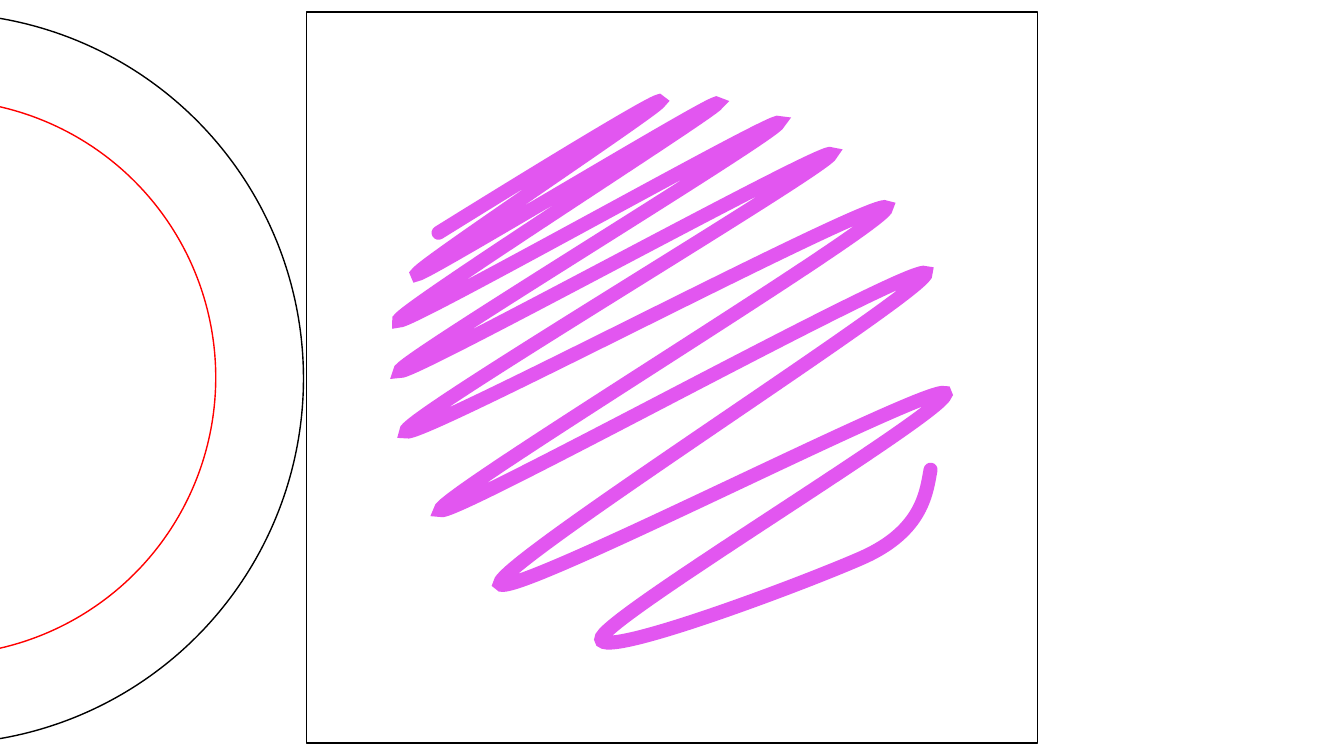
"""Draw a purple scribble in a framed square beside two concentric circles."""
from lxml.etree import SubElement
from pptx import Presentation
from pptx.dml.color import RGBColor
from pptx.enum.shapes import MSO_SHAPE as SHAPE
from pptx.oxml.ns import qn
from pptx.util import Pt

PX = 9144
BLACK = RGBColor(0x00, 0x00, 0x00)
RED = RGBColor(0xFF, 0x00, 0x00)
PURPLE = RGBColor(0xE2, 0x56, 0xF0)

START = (435, 231)
CURVES = [
    ((546, 162), (658, 94), (654, 101)),
    ((651, 108), (404, 272), (414, 272)),
    ((423, 272), (714, 95), (711, 103)),
    ((708, 110), (386, 315), (396, 318)),
    ((406, 321), (772, 114), (772, 122)),
    ((772, 131), (389, 363), (397, 368)),
    ((406, 373), (823, 143), (824, 153)),
    ((825, 163), (394, 419), (403, 428)),
    ((412, 437), (873, 193), (879, 206)),
    ((885, 219), (431, 495), (437, 506)),
    ((444, 516), (908, 259), (918, 271)),
    ((928, 283), (493, 559), (496, 579)),
    ((499, 599), (921, 381), (937, 390)),
    ((954, 399), (611, 605), (597, 632)),
    ((584, 659), (795, 580), (856, 553)),
    ((916, 526), (919, 487), (923, 466)),
]


class Canvas:
    def __init__(self, prs):
        self.s = prs.slides.add_slide(prs.slide_layouts[6])

    def style(self, sp, color, width):
        sp.shadow.inherit = False
        sp.fill.background()
        sp.line.color.rgb = color
        sp.line.width = Pt(width)
        return sp

    def outline(self, kind, x, y, size, color):
        box = [v * PX for v in (x, y, size, size)]
        return self.style(self.s.shapes.add_shape(kind, *box), color, 1)

    def scribble(self, start, curves, color, width):
        ends = [curve[-1] for curve in curves]
        left, top = (min(axis) for axis in zip(start, *ends))
        builder = self.s.shapes.build_freeform(*start, scale=PX)
        builder.add_line_segments(ends, close=False)
        sp = self.style(builder.convert_to_shape(), color, width)
        segments = list(sp._element.iter(qn("a:lnTo")))
        for segment, curve in zip(segments, curves):
            segment.tag = qn("a:cubicBezTo")
            for pt in list(segment):
                segment.remove(pt)
            for x, y in curve:
                SubElement(segment, qn("a:pt"), x=str(x - left), y=str(y - top))
        ln = sp._element.spPr.find(qn("a:ln"))
        ln.set("cap", "rnd")
        SubElement(ln, qn("a:miter"), lim="800000")
        return sp


def main():
    prs = Presentation()
    prs.slide_width, prs.slide_height = 1333 * PX, 750 * PX
    canvas = Canvas(prs)
    canvas.outline(SHAPE.OVAL, -424, 13, 725, BLACK)
    canvas.outline(SHAPE.RECTANGLE, 304, 12, 725, BLACK)
    canvas.outline(SHAPE.OVAL, -337, 99, 551, RED)
    canvas.scribble(START, CURVES, PURPLE, 10)
    prs.save("out.pptx")


if __name__ == "__main__":
    main()
